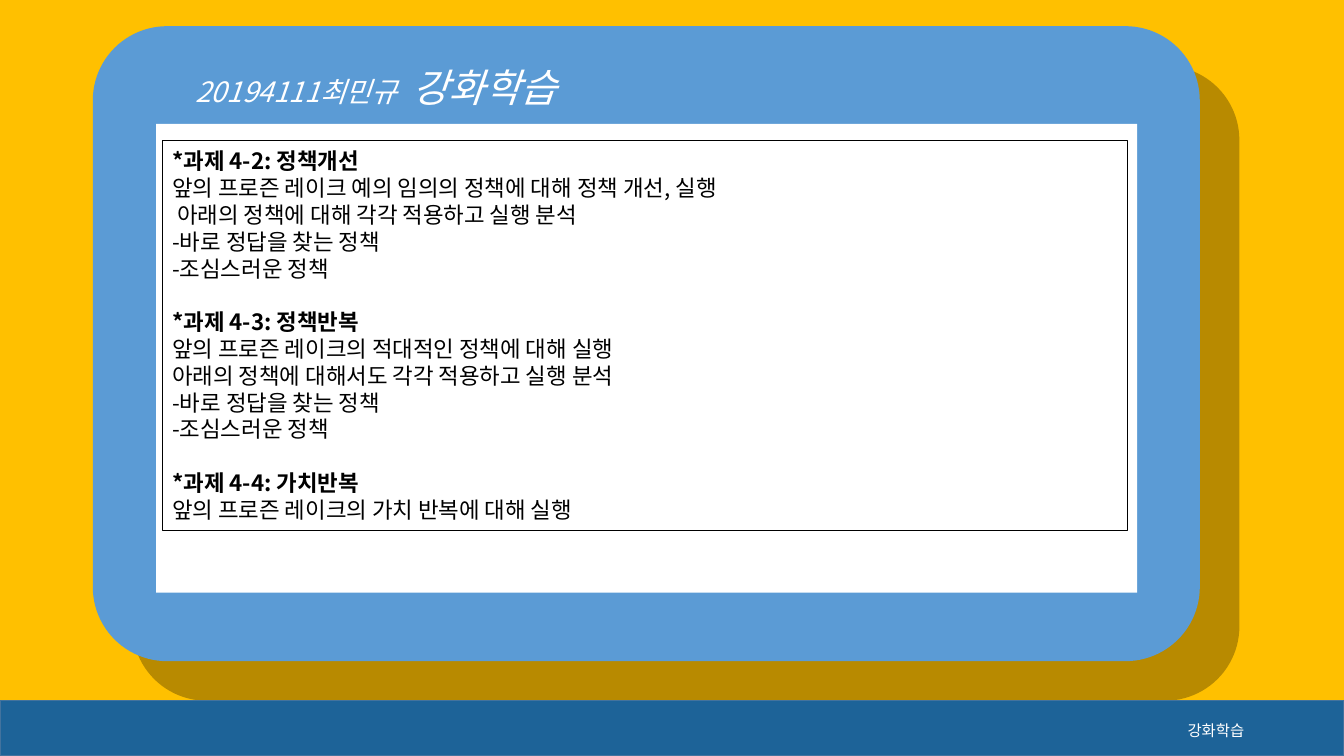
from lxml import etree
from pptx import Presentation, util as u
from pptx.dml.color import RGBColor
from pptx.enum import shapes, text
from pptx.oxml.ns import qn

# Content
TITLE = [("20194111최민규 ", 20), (" 강화학습", 28)]
FOOTER = "강화학습"
TASKS = [
    ("*과제 4-2: 정책개선", [
        "앞의 프로즌 레이크 예의 임의의 정책에 대해 정책 개선, 실행",
        " 아래의 정책에 대해 각각 적용하고 실행 분석",
        "-바로 정답을 찾는 정책",
        "-조심스러운 정책"]),
    ("*과제 4-3: 정책반복", [
        "앞의 프로즌 레이크의 적대적인 정책에 대해 실행",
        "아래의 정책에 대해서도 각각 적용하고 실행 분석",
        "-바로 정답을 찾는 정책",
        "-조심스러운 정책"]),
    ("*과제 4-4: 가치반복", [
        "앞의 프로즌 레이크의 가치 반복에 대해 실행"]),
]

# Style
FONT = "Noto Sans CJK KR"
AMBER = RGBColor(0xFF, 0xC0, 0x00)
BLUE = RGBColor(0x5B, 0x9B, 0xD5)
NAVY = RGBColor(0x1D, 0x63, 0x98)
NAVY_EDGE = RGBColor(0x43, 0x73, 0x9E)
WHITE = RGBColor(0xFF, 0xFF, 0xFF)
BLACK = RGBColor(0x00, 0x00, 0x00)
WIDTH, HEIGHT = 13.33, 7.5
BODY_LINE = 19.15
BAR_TOP = 6.95

presentation = Presentation()
presentation.slide_width = u.Inches(WIDTH)
presentation.slide_height = u.Inches(HEIGHT)
slide = presentation.slides.add_slide(presentation.slide_layouts[6])
slide.background.fill.solid()
slide.background.fill.fore_color.rgb = AMBER


def add_block(kind, box, fill, line=None, line_width=1):
    shape = slide.shapes.add_shape(kind, *map(u.Inches, box))
    shape.shadow.inherit = False
    shape.fill.solid()
    shape.fill.fore_color.rgb = fill
    if line is None:
        shape.line.fill.background()
    else:
        shape.line.color.rgb = line
        shape.line.width = u.Pt(line_width)
    return shape


def format_run(run, size, color, bold=False, italic=False):
    font = run.font
    font.name, font.size, font.bold, font.italic = FONT, u.Pt(size), bold, italic
    font.color.rgb = color
    east_asian = etree.SubElement(run._r.get_or_add_rPr(), qn("a:ea"))
    east_asian.set("typeface", FONT)


def add_label(box, runs, line_height, align, italic=False):
    frame = slide.shapes.add_textbox(*map(u.Inches, box)).text_frame
    frame.word_wrap = True
    paragraph = frame.paragraphs[0]
    paragraph.alignment = align
    paragraph.line_spacing = u.Pt(line_height)
    for words, size in runs:
        run = paragraph.add_run()
        run.text = words
        format_run(run, size, WHITE, italic=italic)


# Rounded card with a hard offset shadow
card = add_block(shapes.MSO_SHAPE.ROUNDED_RECTANGLE, (0.92, 0.26, 10.98, 6.3), BLUE)
card.adjustments[0] = 0.117
effects = card._element.spPr.find(qn("a:effectLst"))
shadow = etree.SubElement(effects, qn("a:outerShdw"), blurRad="0",
                          dist=str(u.Pt(40)), dir=str(45 * 60000),
                          algn="tl", rotWithShape="0")
shadow_color = etree.SubElement(shadow, qn("a:srgbClr"), val="000000")
etree.SubElement(shadow_color, qn("a:alpha"), val="28000")

# White page and bottom bar
add_block(shapes.MSO_SHAPE.RECTANGLE, (1.55, 1.23, 9.73, 4.65), WHITE)
add_block(shapes.MSO_SHAPE.RECTANGLE, (0, BAR_TOP, WIDTH, HEIGHT - BAR_TOP), NAVY, NAVY_EDGE)

# Title
add_label((1.84, 0.58, 5.5, 0.88), TITLE, 33.5, text.PP_ALIGN.LEFT, italic=True)

# Task box: each heading after the first is one line further down
task_box = add_block(shapes.MSO_SHAPE.RECTANGLE, (1.61, 1.39, 9.57, 3.87), WHITE, BLACK, 0.75)
fill_color = task_box._element.spPr.find(qn("a:solidFill"))[0]
etree.SubElement(fill_color, qn("a:alpha"), val="50000")
frame = task_box.text_frame
frame.word_wrap = True
frame.vertical_anchor = text.MSO_ANCHOR.MIDDLE
frame.text = "\n".join(line for heading, lines in TASKS for line in [heading, *lines])
headings = [heading for heading, lines in TASKS]
for paragraph in frame.paragraphs:
    is_heading = paragraph.text in headings
    paragraph.alignment = text.PP_ALIGN.LEFT
    paragraph.line_spacing = u.Pt(BODY_LINE)
    if paragraph.text in headings[1:]:
        paragraph.space_before = u.Pt(BODY_LINE)
    format_run(paragraph.runs[0], 16, BLACK, bold=is_heading)

# Footer
add_label((10.94, 7.01, 2.24, 0.34), [(FOOTER, 11)], 19.8, text.PP_ALIGN.CENTER)

presentation.save("out.pptx")
